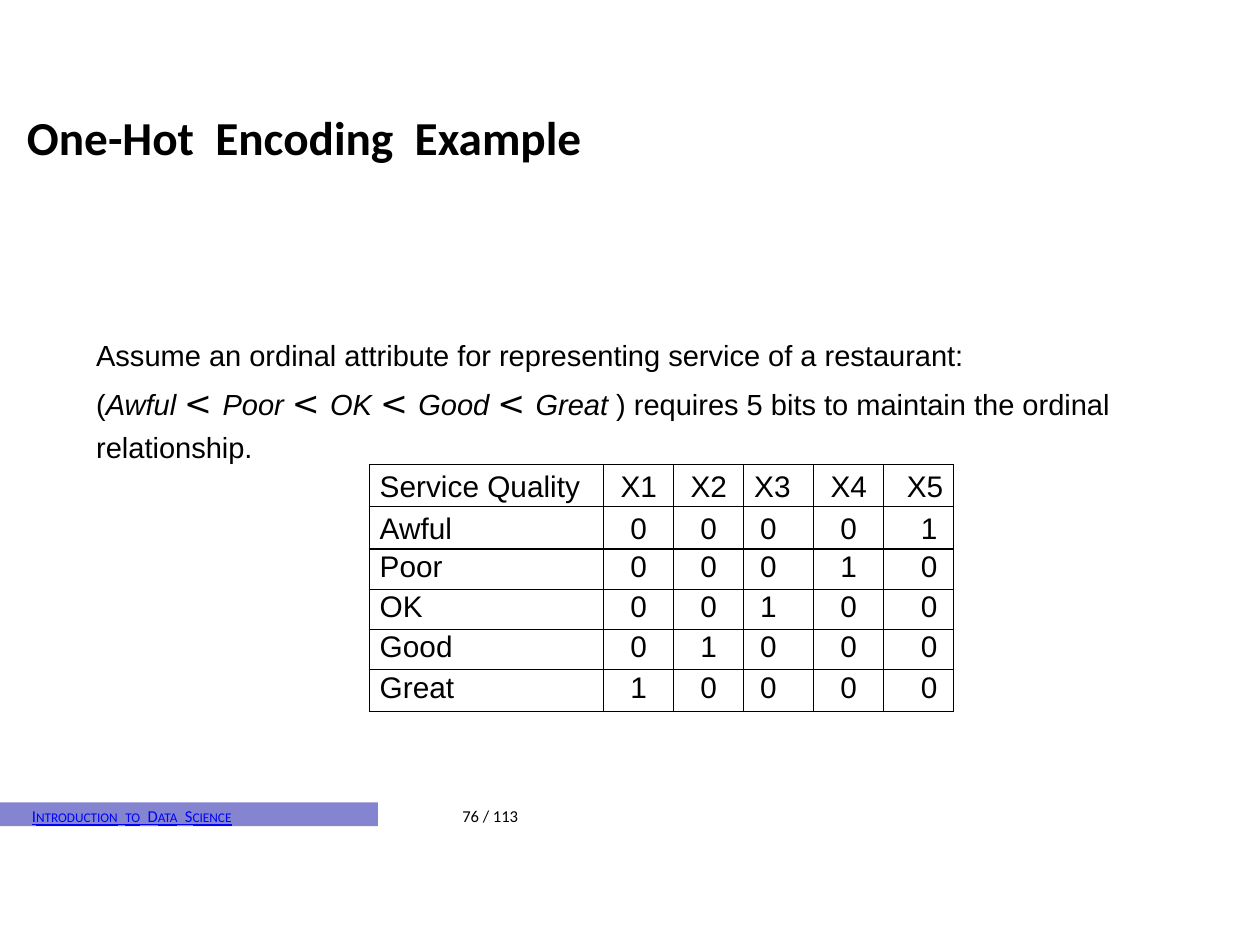
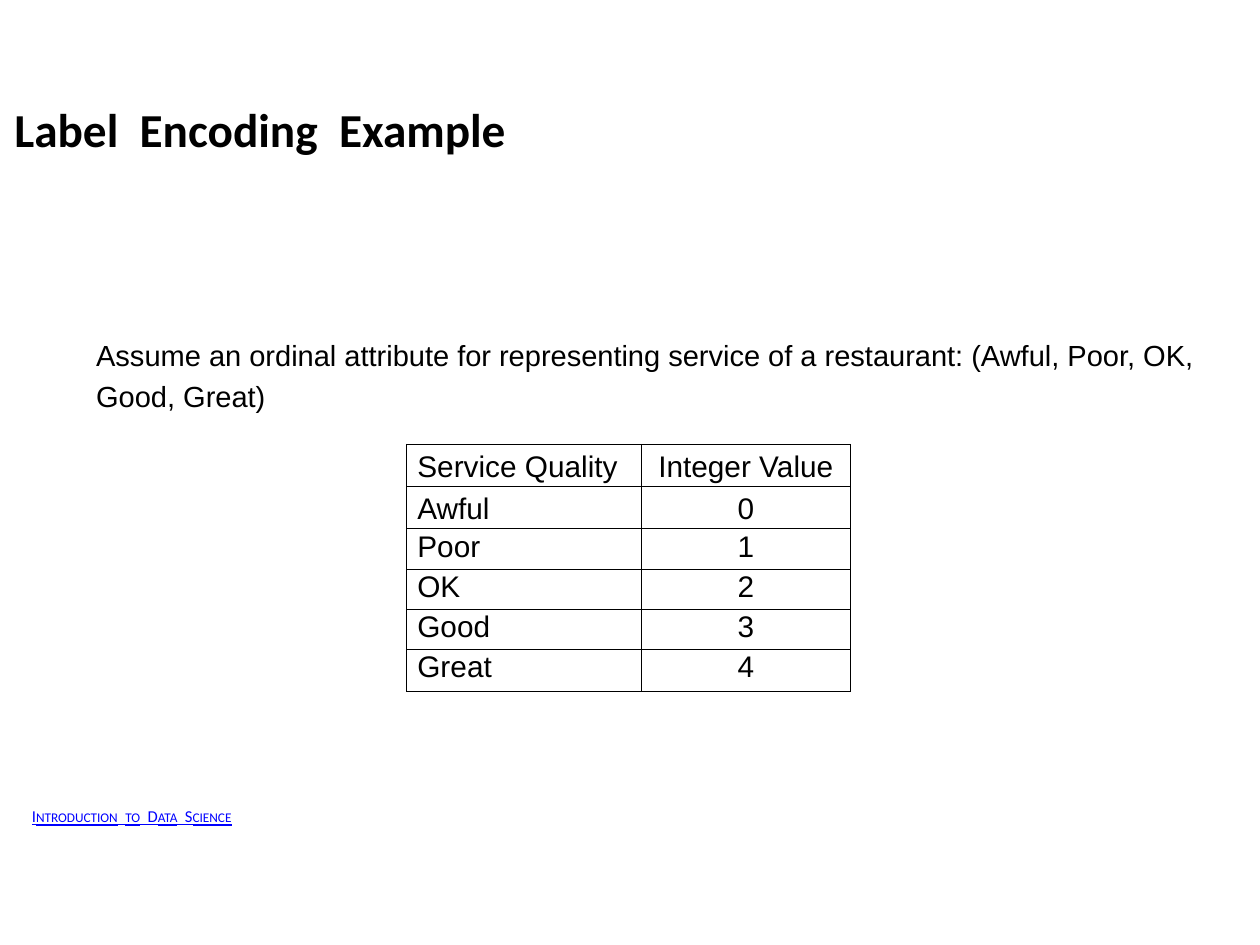
from lxml import etree
from pptx import Presentation
from pptx import util as u
from pptx.dml import color
from pptx.enum import shapes, text
from pptx.oxml import ns

Pt = u.Pt
COLORS = {"ink": "000000", "link": "0000FF", "band": "8484D1"}
HEAD, BODY, MATH = "Calibri", "Arial", "DejaVu Sans"
LEFT, CENTER, RIGHT = text.PP_ALIGN.LEFT, text.PP_ALIGN.CENTER, text.PP_ALIGN.RIGHT
ROW_HEIGHTS = [24, 24, 23, 23, 23, 24]
LABEL_WIDTH = 134
QUALITIES = ["Awful", "Poor", "OK", "Good", "Great"]
FOOTER_PARTS = [("I", False), ("ntroduction", True), ("  ", False), ("to", True),
                ("  D", False), ("ata", True), ("  S", False), ("cience", True)]


def rgb(name):
    return color.RGBColor.from_string(COLORS[name])


def style(p, size, name, ink="ink"):
    p.font.size = Pt(size)
    p.font.name = name
    p.font.color.rgb = rgb(ink)


def text_box(s, box, left=1, top=0):
    tf = s.shapes.add_textbox(*map(Pt, box)).text_frame
    tf.word_wrap = True
    tf.margin_left, tf.margin_top = Pt(left), Pt(top)
    tf.margin_right = tf.margin_bottom = 0
    return tf


def add_title(s, box, title):
    p = text_box(s, box, top=2).paragraphs[0]
    p.text = title
    style(p, 27, HEAD)
    p.font.bold = True


def add_band(s, box):
    sp = s.shapes.add_shape(shapes.MSO_SHAPE.RECTANGLE, *map(Pt, box))
    sp.shadow.inherit = False
    sp.fill.solid()
    sp.fill.fore_color.rgb = rgb("band")
    sp.line.fill.background()


def add_footer(s, box, page=None):
    x, y, w, h = box
    if page:
        add_band(s, (x, y, w, h))
    p = text_box(s, (x + 17.3, y + 0.7, 150, 13)).paragraphs[0]
    p.line_spacing = 1.12
    style(p, 9.5, HEAD, "link")
    p.font.underline = True
    for part, small in FOOTER_PARTS:
        r = p.add_run()
        r.text = part
        if small:
            r._r.get_or_add_rPr().set("cap", "small")
    if page:
        p = text_box(s, (x + 259.2, y + 0.7, 55, 13), left=5).paragraphs[0]
        p.text = page
        p.line_spacing = 1.12
        style(p, 9.5, HEAD)


def add_border(cell):
    tc_pr = cell._tc.get_or_add_tcPr()
    for side in "LRTB":
        ln = etree.SubElement(tc_pr, ns.qn(f"a:ln{side}"), w=str(Pt(0.75)))
        fill = etree.SubElement(ln, ns.qn("a:solidFill"))
        etree.SubElement(fill, ns.qn("a:srgbClr"), val=COLORS["ink"])


def add_quality_table(s, origin, headers, values, value_width, aligns):
    rows = [["Service Quality"] + headers]
    rows += [[q] + v for q, v in zip(QUALITIES, values)]
    widths = [LABEL_WIDTH] + [value_width] * len(headers)
    size = sum(widths), sum(ROW_HEIGHTS)
    tbl = s.shapes.add_table(len(rows), len(widths), *map(Pt, origin + size)).table
    tbl.first_row = tbl.horz_banding = False
    for col, w in zip(tbl.columns, widths):
        col.width = Pt(w)
    for i, (row, h) in enumerate(zip(rows, ROW_HEIGHTS)):
        tbl.rows[i].height = Pt(h)
        for j, (value, align) in enumerate(zip(row, [LEFT] + aligns)):
            cell = tbl.cell(i, j)
            side = 6 if i == 0 or j == 0 else 9.4
            cell.margin_left = Pt(side) if align == LEFT else 0
            cell.margin_right = Pt(side) if align == RIGHT else 0
            cell.margin_top = Pt(0 if i < 2 else 0.75)
            cell.margin_bottom = 0
            add_border(cell)
            cell.fill.background()
            p = cell.text_frame.paragraphs[0]
            p.text = value
            p.alignment = align
            if i < 2:
                p.line_spacing = 1.18
            style(p, 17, BODY)


def add_ordinal_text(s, box):
    tf = text_box(s, box, top=2)
    p = tf.paragraphs[0]
    p.text = "Assume an ordinal attribute for representing service of a restaurant:"
    style(p, 16.6, BODY)
    p = tf.add_paragraph()
    p.line_spacing = 1.2
    p.space_before = Pt(1.3)
    p.font.color.rgb = rgb("ink")
    parts = [("(", False)]
    for q in QUALITIES:
        parts += [(q + " ", True), ("< ", True)]
    parts[-1] = (") requires 5 bits to maintain the ordinal relationship.", False)
    for part, italic in parts:
        r = p.add_run()
        r.text = part
        r.font.italic = italic
        r.font.size = Pt(19 if part == "< " else 16.6)
        r.font.name = MATH if part == "< " else BODY


def add_label_text(s, box):
    p = text_box(s, box, top=1.5).paragraphs[0]
    p.text = ("Assume an ordinal attribute for representing service of a restaurant: "
              "(Awful, Poor, OK, Good, Great)")
    p.line_spacing = 1.15
    style(p, 16.6, BODY)


def one_hot_slide(s):
    n = len(QUALITIES)
    add_title(s, (14.4, 59.8, 394, 34.5), "One-Hot  Encoding  Example")
    add_ordinal_text(s, (54, 190.8, 593, 75))
    add_quality_table(
        s, (211, 265.5), [f"X{k + 1}" for k in range(n)],
        [["1" if k == n - 1 - i else "0" for k in range(n)] for i in range(n)],
        40, [CENTER, CENTER, LEFT, CENTER, RIGHT])
    add_footer(s, (0, 458.6, 216, 13.5), "76 / 113")


def label_slide(s):
    add_title(s, (7.2, 55.4, 353, 34.5), "Label  Encoding  Example")
    add_label_text(s, (54, 188.6, 648, 48))
    add_quality_table(s, (232.5, 254), ["Integer Value"],
                      [[str(i)] for i in range(len(QUALITIES))], 119.5, [CENTER])
    add_footer(s, (0, 458.6, 216, 13.5))


def main():
    prs = Presentation()
    prs.slide_width, prs.slide_height = Pt(720), Pt(540)
    for build in (one_hot_slide, label_slide):
        build(prs.slides.add_slide(prs.slide_layouts[6]))
    prs.save("out.pptx")


if __name__ == "__main__":
    main()
